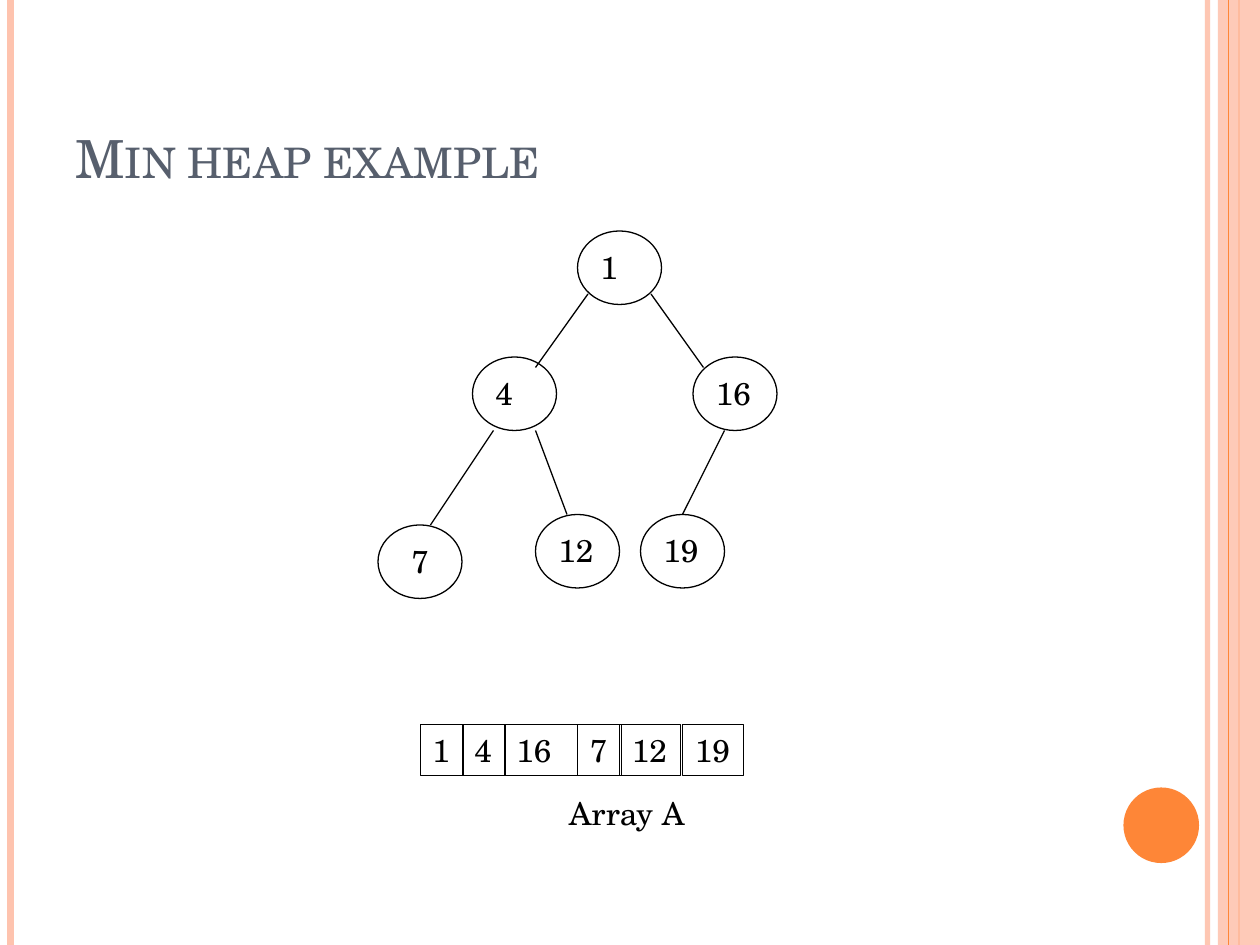
from lxml import etree
from pptx import Presentation
from pptx.dml.color import RGBColor
from pptx.enum.shapes import MSO_CONNECTOR, MSO_SHAPE
from pptx.enum.text import MSO_ANCHOR
from pptx.oxml.ns import qn
from pptx.util import Inches, Pt

STRAIGHT = MSO_CONNECTOR.STRAIGHT
OVAL, RECTANGLE = MSO_SHAPE.OVAL, MSO_SHAPE.RECTANGLE
TOP, BOTTOM = MSO_ANCHOR.TOP, MSO_ANCHOR.BOTTOM

# Content: positions are columns and rows of a grid of 12 units to the inch
TITLE = "Min heap example"
CAPTION = "Array A"
NODES = [  # key, column, row, label inset, label width
    ("1", 55, 22, 1, 4.1),
    ("4", 45, 34, 1, 4.1),
    ("16", 66, 34, 1, 5.8),
    ("12", 51, 49, 1, 5.8),
    ("7", 36, 50, 2, 4.1),
    ("19", 61, 49, 1, 5.8),
]
EDGES = [  # start column, row, end column, row
    (56, 28, 51, 35),
    (47, 41, 41, 50),
    (51, 41, 54, 49),
    (62, 28, 67, 35),
    (69, 41, 65, 49),
]
ARRAY = [  # key, column, width, wraps
    ("1", 40, 4.15, False),
    ("4", 44, 4.1, False),
    ("16", 48, 7, True),
    ("7", 55, 4.15, False),
    ("12", 59, 5.8, False),
    ("19", 65, 5.8, False),
]
COLUMNS, ROWS = 120, 90
NODE_WIDTH, NODE_HEIGHT = 8, 7
ARRAY_ROW, LABEL_HEIGHT = 69, 4.8
FONT = "TeX Gyre Schola"
COLORS = {"ink": "000000", "title": "575F6D", "peach": "FEC3AE", "orange": "FE8637"}


def grid(*units):
    return [Inches(unit / 12) for unit in units]


def color(name):
    return RGBColor.from_string(COLORS[name])


def set_opacity(properties, percent):
    tint = next(properties.iter(qn("a:srgbClr")))
    etree.SubElement(tint, qn("a:alpha")).set("val", str(percent * 1000))


def add_line(page, start_x, start_y, end_x, end_y, tint="ink", weight=0.75):
    line = page.shapes.add_connector(STRAIGHT, *grid(start_x, start_y, end_x, end_y))
    line.line.color.rgb = color(tint)
    line.line.width = Pt(weight)
    etree.SubElement(line._element.spPr, qn("a:effectLst"))
    return line


def add_shape(page, kind, left, top, width, height, fill=None):
    shape = page.shapes.add_shape(kind, *grid(left, top, width, height))
    shape.shadow.inherit = False
    if fill:
        shape.fill.solid()
        shape.fill.fore_color.rgb = color(fill)
        shape.line.fill.background()
    else:
        shape.fill.background()
        shape.line.color.rgb = color("ink")
        shape.line.width = Pt(0.75)
    return shape


def add_text(page, text, left, top, width, height=LABEL_HEIGHT, wrap=False,
             size=18, tint="ink", anchor=TOP):
    box = page.shapes.add_textbox(*grid(left, top, width, height))
    frame = box.text_frame
    frame.word_wrap = wrap
    frame.vertical_anchor = anchor
    span = frame.paragraphs[0].add_run()
    span.text = text
    span.font.name = FONT
    span.font.size = Pt(size)
    span.font.color.rgb = color(tint)
    return box, span


def add_border(page):
    rail = add_line(page, 115, 0, 115, ROWS, "peach", 3)
    set_opacity(rail._element.spPr, 93)
    add_line(page, 1, 0, 1, ROWS, "peach", 4.5)
    add_line(page, 118, 0, 118, ROWS, "orange", 1.5)
    band = add_shape(page, RECTANGLE, 116, 0, 4, ROWS, "peach")
    set_opacity(band._element.spPr, 87)
    add_line(page, 117, 0, 117, ROWS, "orange")
    add_shape(page, OVAL, 107, 75, 7.2, 7.2, "orange")


def add_array(page):
    for key, column, width, wrap in ARRAY:
        cell, _ = add_text(page, key, column, ARRAY_ROW, width, wrap=wrap)
        cell.line.color.rgb = color("ink")
        cell.line.width = Pt(0.25)
    add_text(page, CAPTION, 53, ARRAY_ROW + 6, 17, 5, wrap=True)


def add_tree(page):
    for key, column, row, inset, width in NODES:
        add_shape(page, OVAL, column, row, NODE_WIDTH, NODE_HEIGHT)
        add_text(page, key, column + inset, row + 1, width)
    for edge in EDGES:
        add_line(page, *edge)


def main():
    deck = Presentation()
    deck.slide_width, deck.slide_height = grid(COLUMNS, ROWS)
    page = deck.slides.add_slide(deck.slide_layouts[6])
    add_border(page)
    # Title in small capitals
    _, span = add_text(page, TITLE, 6, 3.6, 98, 15, True, 30, "title", BOTTOM)
    span._r.get_or_add_rPr().set("cap", "small")
    add_array(page)
    add_tree(page)
    deck.save("out.pptx")


if __name__ == "__main__":
    main()
